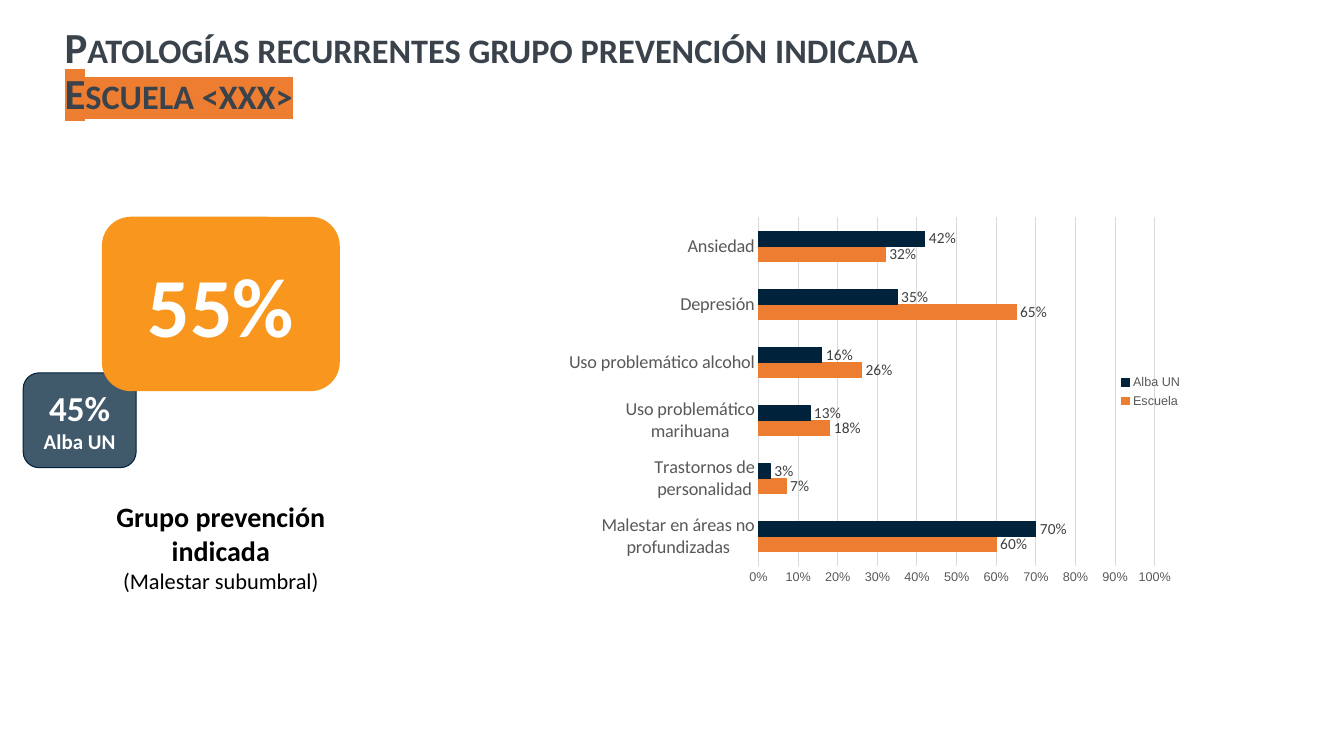
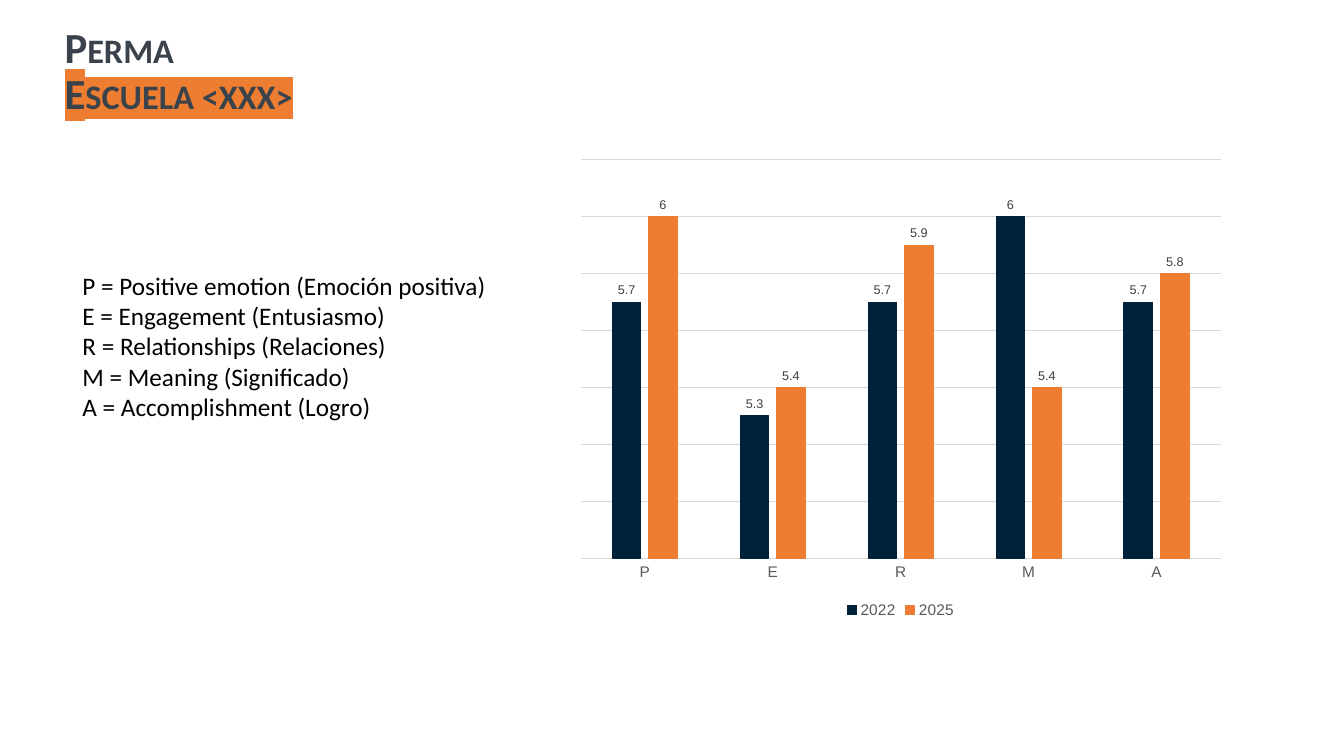
import copy

import lxml.etree
import pptx
import pptx.chart.data
import pptx.dml.color
import pptx.enum.chart
import pptx.enum.shapes
import pptx.enum.text
import pptx.oxml
import pptx.oxml.ns
import pptx.util

RGB = pptx.dml.color.RGBColor
SLATE = RGB(0x3A, 0x43, 0x4C)
NAVY = RGB(0x00, 0x22, 0x3A)
ORANGE = RGB(0xED, 0x7D, 0x31)
AMBER = RGB(0xF8, 0x96, 0x1E)
BLACK = RGB(0x00, 0x00, 0x00)
WHITE = RGB(0xFF, 0xFF, 0xFF)
AXIS_GREY = RGB(0x59, 0x59, 0x59)
LABEL_GREY = RGB(0x40, 0x40, 0x40)
GRID_GREY = RGB(0xD9, 0xD9, 0xD9)

BODY_FONT = "Calibri"
CHART_FONT = "Arial"
HAIRLINE = pptx.util.Pt(0.75)
INSTITUTE = "Alba UN"
SCHOOL = "Escuela <xxx>"

CHART_TYPE = pptx.enum.chart.XL_CHART_TYPE
LEGEND = pptx.enum.chart.XL_LEGEND_POSITION
CENTER = pptx.enum.text.PP_ALIGN.CENTER
LEFT = pptx.enum.text.PP_ALIGN.LEFT
MIDDLE = pptx.enum.text.MSO_ANCHOR.MIDDLE
qn = pptx.oxml.ns.qn


def style_font(font, size, color, name=BODY_FONT, bold=False):
    font.size = pptx.util.Pt(size)
    font.color.rgb = color
    font.name = name
    font.bold = bold


def style_line(line, color):
    line.color.rgb = color
    line.width = HAIRLINE


class Deck:
    """Shared style and current slide; boxes are percentages of the slide."""

    def __init__(self):
        self.prs = pptx.Presentation()
        self.prs.slide_width = pptx.util.Inches(13.33)
        self.prs.slide_height = pptx.util.Inches(7.5)
        self.slide = None

    def box(self, left, top, width, height):
        across, down = self.prs.slide_width / 100, self.prs.slide_height / 100
        return [round(v) for v in (left * across, top * down, width * across, height * down)]

    def new_slide(self, heading):
        self.slide = self.prs.slides.add_slide(self.prs.slide_layouts[5])
        title = self.slide.shapes.title
        title.left, title.top, title.width, title.height = self.box(4.05, 3.33, 95.5, 12.53)
        frame = title.text_frame
        frame.text = f"{heading}\v{SCHOOL}"
        frame.auto_size = pptx.enum.text.MSO_AUTO_SIZE.NONE
        frame.vertical_anchor = MIDDLE
        paragraph = frame.paragraphs[0]
        paragraph.alignment = LEFT
        paragraph.line_spacing = 0.9
        for run in paragraph.runs:
            style_font(run.font, 30.6, SLATE, bold=True)
            run.font._element.set("cap", "small")
        # The line break takes the size of the heading
        heading_props, school_props = [run.font._element for run in paragraph.runs]
        paragraph._p.find(qn("a:br")).append(copy.deepcopy(heading_props))
        # Highlight behind the school name
        highlight = lxml.etree.Element(qn("a:highlight"))
        lxml.etree.SubElement(highlight, qn("a:srgbClr")).set("val", str(ORANGE))
        school_props.find(qn("a:solidFill")).addnext(highlight)

    def fill_text(self, frame, lines, color, align):
        """Each line is (text, size, bold)."""
        frame.word_wrap = True
        frame.text = "\n".join(text for text, _, _ in lines)
        for paragraph, (_, size, bold) in zip(frame.paragraphs, lines):
            paragraph.alignment = align
            style_font(paragraph.runs[0].font, size, color, bold=bold)

    def text(self, box, lines, align=LEFT):
        caption = self.slide.shapes.add_textbox(*self.box(*box))
        self.fill_text(caption.text_frame, lines, BLACK, align)

    def card(self, box, lines, fill, opacity=None, outline=None):
        card = self.slide.shapes.add_shape(
            pptx.enum.shapes.MSO_SHAPE.ROUNDED_RECTANGLE, *self.box(*box))
        card.shadow.inherit = False
        card.fill.solid()
        card.fill.fore_color.rgb = fill
        if opacity:
            shade = card._element.spPr.find(qn("a:solidFill")).find(qn("a:srgbClr"))
            lxml.etree.SubElement(shade, qn("a:alpha")).set("val", str(opacity * 1000))
        if outline:
            style_line(card.line, outline)
        else:
            card.line.fill.background()
        card.text_frame.vertical_anchor = MIDDLE
        self.fill_text(card.text_frame, lines, WHITE, CENTER)

    def bar_chart(self, kind, box, categories, series, gap, overlap, legend, legend_size,
                  category_font, label_font, scale, number_format="General"):
        """series: (name, values, color); fonts: (size, name); scale: (min, max, step)."""
        data = pptx.chart.data.CategoryChartData(number_format=number_format)
        data.categories = categories
        for name, values, _ in series:
            data.add_series(name, values)
        chart = self.slide.shapes.add_chart(kind, *self.box(*box), data).chart
        style_font(chart.font, 10, BLACK, CHART_FONT)
        chart.has_title = False
        chart.has_legend = True
        chart.legend.position = legend
        chart.legend.include_in_layout = False
        style_font(chart.legend.font, legend_size, AXIS_GREY, CHART_FONT)

        # Bars and their values
        plot = chart.plots[0]
        plot.vary_by_categories = False
        plot.gap_width = gap
        plot.overlap = overlap
        for bars, (_, _, color) in zip(plot.series, series):
            bars.format.fill.solid()
            bars.format.fill.fore_color.rgb = color
            style_line(bars.format.line, color)
            labels = bars.data_labels
            labels.show_value = True
            labels.position = pptx.enum.chart.XL_LABEL_POSITION.OUTSIDE_END
            labels.number_format = number_format
            labels.number_format_is_linked = False
            style_font(labels.font, label_font[0], LABEL_GREY, label_font[1])

        # Axes
        for axis in (chart.category_axis, chart.value_axis):
            axis.major_tick_mark = pptx.enum.chart.XL_TICK_MARK.NONE
            axis.minor_tick_mark = pptx.enum.chart.XL_TICK_MARK.NONE
        style_font(chart.category_axis.tick_labels.font, category_font[0], AXIS_GREY,
                   category_font[1])
        style_line(chart.category_axis.format.line, GRID_GREY)
        values = chart.value_axis
        values.minimum_scale, values.maximum_scale, values.major_unit = scale
        values.has_major_gridlines = True
        style_line(values.major_gridlines.format.line, GRID_GREY)
        values.format.line.fill.background()
        values.tick_labels.number_format = number_format
        values.tick_labels.number_format_is_linked = False
        style_font(values.tick_labels.font, 9, AXIS_GREY, CHART_FONT)
        return chart

    def fix_plot_area(self, chart, x, y, w, h):
        """Place the inner plot area by shares of the chart."""
        area = chart._chartSpace.chart.plotArea
        for old in area.findall(qn("c:layout")):
            area.remove(old)
        layout = lxml.etree.Element(qn("c:layout"))
        manual = lxml.etree.SubElement(layout, qn("c:manualLayout"))
        settings = [("layoutTarget", "inner"), ("xMode", "edge"), ("yMode", "edge"),
                    ("x", x), ("y", y), ("w", w), ("h", h)]
        for tag, value in settings:
            lxml.etree.SubElement(manual, qn(f"c:{tag}")).set("val", str(value))
        area.insert(0, layout)


def pathologies_slide(deck):
    deck.new_slide("Patologías recurrentes grupo prevención indicada")
    deck.text((7.58, 65.47, 17.7, 13.87),
              [("Grupo prevención indicada", 20, True), ("(Malestar subumbral)", 16, False)],
              CENTER)
    chart = deck.bar_chart(
        CHART_TYPE.BAR_CLUSTERED, (41.93, 25.6, 46.8, 52.4),
        ["Malestar en áreas no profundizadas", "Trastornos de personalidad",
         "Uso problemático marihuana", "Uso problemático alcohol", "Depresión", "Ansiedad"],
        [("Escuela", (0.6, 0.07, 0.18, 0.26, 0.65, 0.32), ORANGE),
         (INSTITUTE, (0.7, 0.03, 0.13, 0.16, 0.35, 0.42), NAVY)],
        gap=182, overlap=0, legend=LEGEND.RIGHT, legend_size=9,
        category_font=(13, BODY_FONT), label_font=(11, BODY_FONT),
        scale=(0, 1, 0.1), number_format="0%")
    deck.fix_plot_area(chart, 0.31, 0.06, 0.63, 0.88)
    # Institute share tucked behind the school share
    deck.card((1.73, 49.33, 8.4, 12.53), [("45%", 25, True), (INSTITUTE, 15, True)],
              NAVY, opacity=75, outline=NAVY)
    deck.card((7.58, 28.67, 17.7, 23.07), [("55%", 60, True)], AMBER)


def perma_slide(deck):
    deck.new_slide("Perma")
    meanings = ["P = Positive emotion (Emoción positiva)", "E = Engagement (Entusiasmo)",
                "R = Relationships (Relaciones)", "M = Meaning (Significado)",
                "A = Accomplishment (Logro)"]
    deck.text((5.4, 35.07, 36.83, 21.6), [(meaning, 18, False) for meaning in meanings])
    chart = deck.bar_chart(
        CHART_TYPE.COLUMN_CLUSTERED, (42.23, 19.87, 49.58, 62.53), list("PERMA"),
        [("2022", (5.7, 5.3, 5.7, 6, 5.7), NAVY),
         ("2025", (6, 5.4, 5.9, 5.4, 5.8), ORANGE)],
        gap=219, overlap=-27, legend=LEGEND.BOTTOM, legend_size=11,
        category_font=(11, CHART_FONT), label_font=(9, CHART_FONT),
        scale=(4.8, 6.2, 0.2))
    chart.value_axis.visible = False


def main():
    deck = Deck()
    pathologies_slide(deck)
    perma_slide(deck)
    deck.prs.save("out.pptx")


if __name__ == "__main__":
    main()
